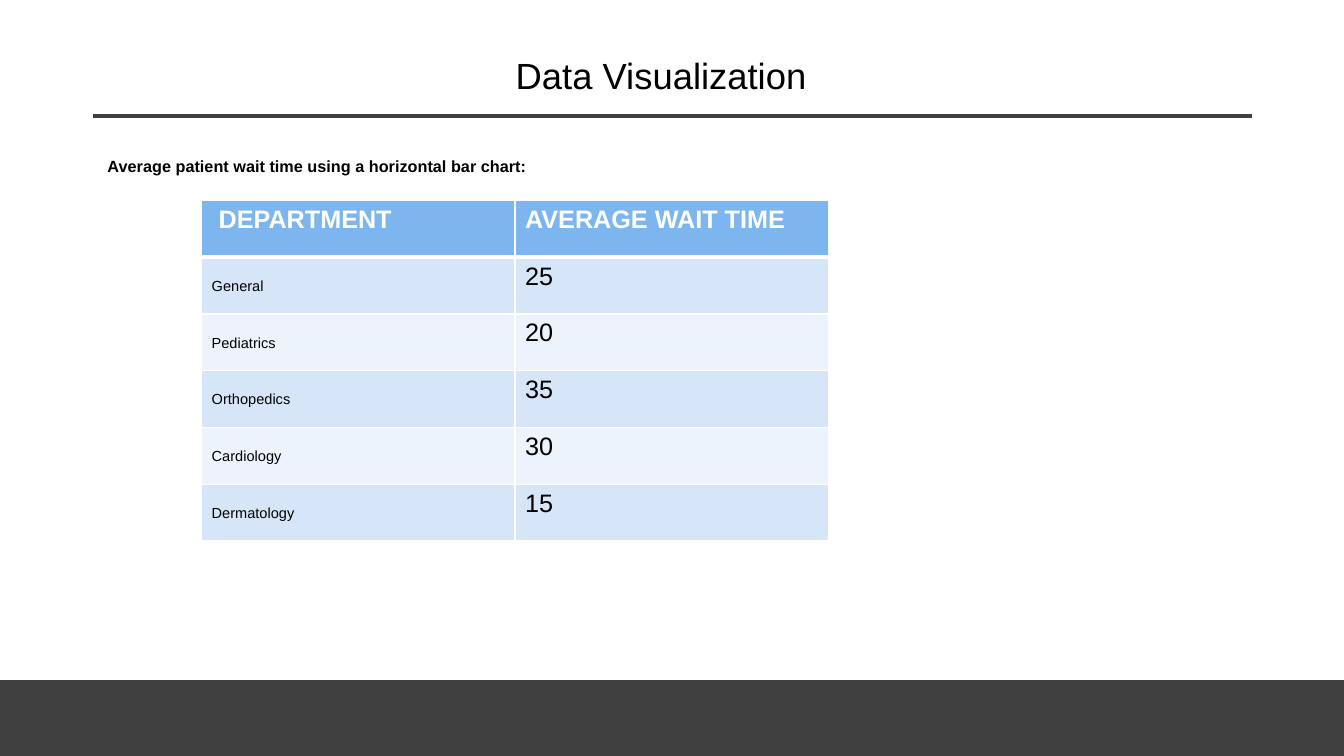
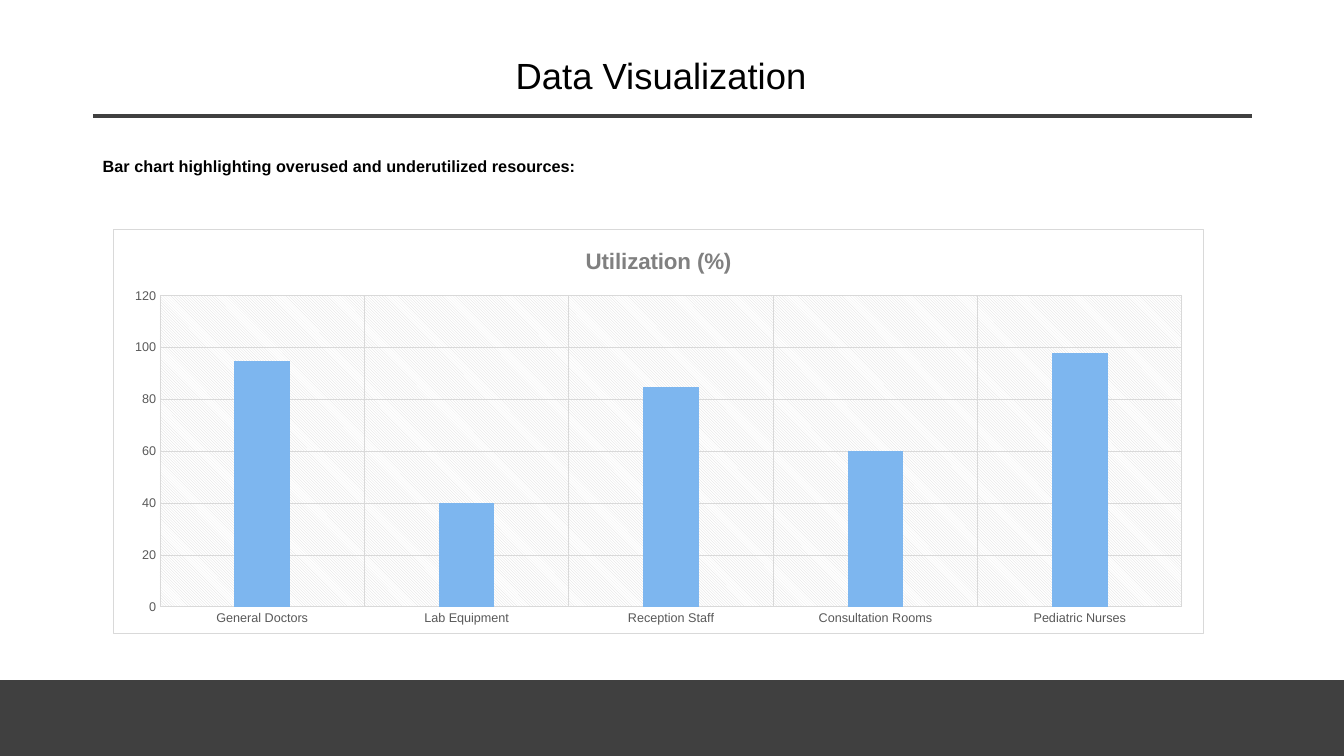
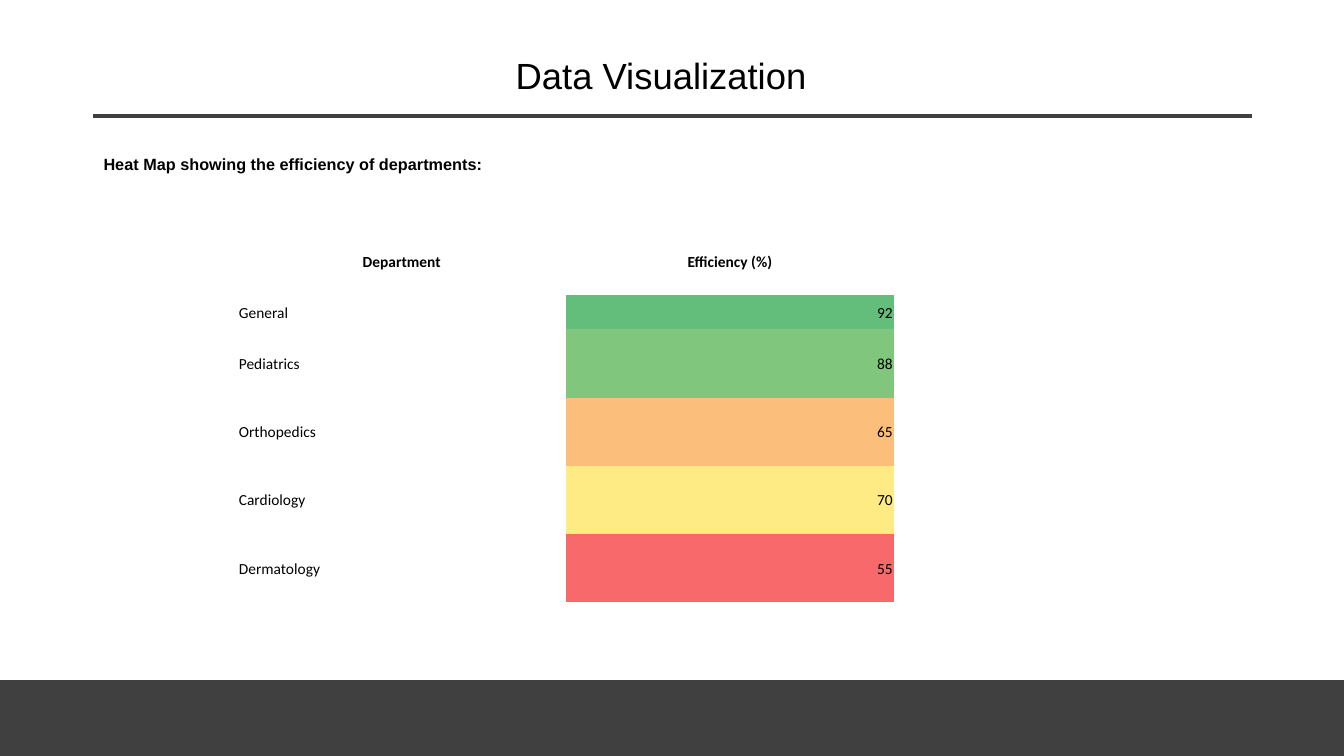
import itertools
from dataclasses import dataclass
from typing import Optional

import pptx
import pptx.chart.data
import pptx.dml.color
import pptx.enum.chart
import pptx.enum.shapes
import pptx.enum.text
import pptx.oxml
import pptx.oxml.ns
import pptx.slide
import pptx.util

Cm = pptx.util.Cm
Pt = pptx.util.Pt
ALIGN = pptx.enum.text.PP_ALIGN
ANCHOR = pptx.enum.text.MSO_ANCHOR

COLORS = {
    "text": "000000",
    "paper": "FFFFFF",
    "band": "404040",
    "accent": "7DB6EF",
    "stripe_dark": "D7E5F9",
    "stripe_light": "ECF3FC",
    "chart_title": "808080",
    "axis_text": "595959",
    "grid": "D9D9D9",
    "heat_92": "63BE7B",
    "heat_88": "80C77D",
    "heat_65": "FCBF7B",
    "heat_70": "FFEB84",
    "heat_55": "F8696B",
}
SLIDE_WIDTH, SLIDE_HEIGHT = Cm(33.87), Cm(19.05)
BAND_HEIGHT = Cm(1.9)
PLAIN_TABLE_STYLE = "{2D5ABB26-0587-4C30-8999-92F81FD0307C}"
DEPARTMENTS = ["General", "Pediatrics", "Orthopedics", "Cardiology", "Dermatology"]
WAIT_TIMES = [25, 20, 35, 30, 15]
EFFICIENCIES = [92, 88, 65, 70, 55]
UTILIZATION = {
    "General Doctors": 95,
    "Lab Equipment": 40,
    "Reception Staff": 85,
    "Consultation Rooms": 60,
    "Pediatric Nurses": 98,
}


@dataclass(frozen=True)
class TextStyle:
    size: float
    font: str = "Arial"
    color: str = "text"
    bold: bool = False
    align: pptx.enum.text.PP_ALIGN = ALIGN.LEFT
    lowered: bool = False


@dataclass(frozen=True)
class Cell:
    text: str
    style: TextStyle
    fill: Optional[str] = None
    bottom_line: float = 1


@dataclass(frozen=True)
class Grid:
    left: pptx.util.Length
    top: pptx.util.Length
    column_width: pptx.util.Length
    row_heights: list[pptx.util.Length]
    rows: list[list[Cell]]
    ruled: bool = False
    tight: bool = False


TITLE = TextStyle(26, align=ALIGN.CENTER)
LEAD = TextStyle(20, bold=True, lowered=True)
WAIT_HEAD = TextStyle(18, color="paper", bold=True)
WAIT_NAME = TextStyle(18, lowered=True)
WAIT_VALUE = TextStyle(18)
HEAT_HEAD = TextStyle(11, "Calibri", bold=True, align=ALIGN.CENTER)
HEAT_NAME = TextStyle(11, "Calibri")
HEAT_VALUE = TextStyle(11, "Calibri", align=ALIGN.RIGHT)


def rgb(name: str) -> pptx.dml.color.RGBColor:
    return pptx.dml.color.RGBColor.from_string(COLORS[name])


def style_font(font: pptx.text.text.Font, style: TextStyle) -> None:
    font.name = style.font
    font.size = Pt(style.size)
    font.bold = style.bold
    font.color.rgb = rgb(style.color)


def write(frame: pptx.text.text.TextFrame, text: str, style: TextStyle) -> None:
    frame.text = text
    paragraph = frame.paragraphs[0]
    paragraph.alignment = style.align
    for run in paragraph.runs:
        style_font(run.font, style)
        if style.lowered:
            run._r.get_or_add_rPr().set("baseline", "-25000")


def style_line(line: pptx.dml.line.LineFormat, color: str, width: float) -> None:
    line.color.rgb = rgb(color)
    line.width = Pt(width)


def add_text(slide: pptx.slide.Slide, left: float, top: float, height: float,
             text: str, style: TextStyle, anchor: pptx.enum.text.MSO_ANCHOR) -> None:
    box = slide.shapes.add_textbox(Cm(left), Cm(top), Cm(29.21), Cm(height))
    box.text_frame.word_wrap = True
    box.text_frame.vertical_anchor = anchor
    write(box.text_frame, text, style)


def add_page(deck: pptx.presentation.Presentation, lead: str,
             lead_left: float, lead_top: float = 3.35) -> pptx.slide.Slide:
    slide = deck.slides.add_slide(deck.slide_layouts[6])
    band = slide.shapes.add_shape(
        pptx.enum.shapes.MSO_SHAPE.RECTANGLE,
        0, SLIDE_HEIGHT - BAND_HEIGHT, SLIDE_WIDTH, BAND_HEIGHT)
    band.shadow.inherit = False
    band.fill.solid()
    band.fill.fore_color.rgb = rgb("band")
    style_line(band.line, "band", 1)
    title_rule = slide.shapes.add_connector(
        pptx.enum.shapes.MSO_CONNECTOR.STRAIGHT,
        Cm(2.34), Cm(2.92), Cm(31.55), Cm(2.92))
    style_line(title_rule.line, "band", 3)
    title_rule._element.spPr.append(pptx.oxml.parse_xml(
        f"<a:effectLst {pptx.oxml.ns.nsdecls('a')}/>"))
    add_text(slide, 2.06, 0.94, 1.91, "Data Visualization", TITLE, ANCHOR.MIDDLE)
    add_text(slide, lead_left, lead_top, 13.41, lead, LEAD, ANCHOR.TOP)
    return slide


def rule_cell(cell: pptx.table._Cell, bottom_line: float) -> None:
    widths = {"lnL": 1, "lnR": 1, "lnT": 1, "lnB": bottom_line}
    properties = cell._tc.get_or_add_tcPr()
    for position, (side, width) in enumerate(widths.items()):
        properties.insert(position, pptx.oxml.parse_xml(
            f'<a:{side} {pptx.oxml.ns.nsdecls("a")} w="{Pt(width)}"><a:solidFill>'
            f'<a:srgbClr val="{COLORS["paper"]}"/></a:solidFill></a:{side}>'))


def add_grid(slide: pptx.slide.Slide, grid: Grid) -> None:
    columns = len(grid.rows[0])
    table = slide.shapes.add_table(
        len(grid.rows), columns, grid.left, grid.top,
        grid.column_width * columns, sum(grid.row_heights)).table
    table.horz_banding = False
    table._tbl.tblPr.find(pptx.oxml.ns.qn("a:tableStyleId")).text = PLAIN_TABLE_STYLE
    for table_row, height, contents in zip(table.rows, grid.row_heights, grid.rows):
        table_row.height = height
        for cell, content in zip(table_row.cells, contents):
            write(cell.text_frame, content.text, content.style)
            if content.fill:
                cell.fill.solid()
                cell.fill.fore_color.rgb = rgb(content.fill)
            else:
                cell.fill.background()
            if grid.tight:
                cell.vertical_anchor = ANCHOR.MIDDLE
                cell.margin_left = cell.margin_right = cell.margin_top = Cm(0.03)
                cell.margin_bottom = 0
            if grid.ruled:
                rule_cell(cell, content.bottom_line)


def wait_time_grid() -> Grid:
    rows = [[Cell(text, WAIT_HEAD, "accent", 3)
             for text in (" DEPARTMENT", "AVERAGE WAIT TIME")]]
    stripes = itertools.cycle(["stripe_dark", "stripe_light"])
    for name, minutes, stripe in zip(DEPARTMENTS, WAIT_TIMES, stripes):
        rows.append([Cell(name, WAIT_NAME, stripe),
                     Cell(str(minutes), WAIT_VALUE, stripe)])
    return Grid(Cm(5.08), Cm(5.05), Cm(7.9), [Cm(1.43)] * len(rows), rows, ruled=True)


def heat_map_grid() -> Grid:
    rows = [[Cell(text, HEAT_HEAD) for text in ("Department", "Efficiency (%)")]]
    for name, percent in zip(DEPARTMENTS, EFFICIENCIES):
        rows.append([Cell(name, HEAT_NAME),
                     Cell(str(percent), HEAT_VALUE, f"heat_{percent}")])
    heights = [Cm(1.72)] * len(rows)
    heights[1] = Cm(0.86)
    return Grid(Cm(5.99), Cm(5.72), Cm(8.27), heights, rows, tight=True)


def chart_area(content: str) -> pptx.oxml.xmlchemy.BaseOxmlElement:
    return pptx.oxml.parse_xml(
        f"<c:spPr {pptx.oxml.ns.nsdecls('c', 'a')}>{content}</c:spPr>")


def add_utilization_chart(slide: pptx.slide.Slide) -> None:
    data = pptx.chart.data.CategoryChartData()
    data.categories = list(UTILIZATION)
    data.add_series("Utilization (%)", list(UTILIZATION.values()))
    chart = slide.shapes.add_chart(
        pptx.enum.chart.XL_CHART_TYPE.COLUMN_CLUSTERED,
        Cm(2.84), Cm(5.77), Cm(27.51), Cm(10.21), data).chart
    style_font(chart.font, TextStyle(10))
    chart.has_legend = False
    chart.has_title = True
    write(chart.chart_title.text_frame, "Utilization (%)",
          TextStyle(16, color="chart_title", bold=True, align=ALIGN.CENTER))
    chart.chart_title.include_in_layout = False

    for axis in (chart.category_axis, chart.value_axis):
        style_font(axis.tick_labels.font, TextStyle(9, color="axis_text"))
        axis.major_tick_mark = pptx.enum.chart.XL_TICK_MARK.NONE
        axis.minor_tick_mark = pptx.enum.chart.XL_TICK_MARK.NONE
        axis.has_major_gridlines = True
        style_line(axis.major_gridlines.format.line, "grid", 0.75)
    style_line(chart.category_axis.format.line, "grid", 0.75)
    chart.value_axis.format.line.fill.background()
    chart.value_axis.minimum_scale = 0
    chart.value_axis.maximum_scale = 120
    chart.value_axis.major_unit = 20

    plot = chart.plots[0]
    plot.vary_by_categories = False
    plot.gap_width = 267
    plot.overlap = -43
    bars = plot.series[0].format
    bars.fill.solid()
    bars.fill.fore_color.rgb = rgb("accent")
    bars.line.fill.background()

    paper = f'<a:srgbClr val="{COLORS["paper"]}"/>'
    gray = f'<a:srgbClr val="{COLORS["grid"]}"/>'
    chart._chartSpace.chart.plotArea.append(chart_area(
        f'<a:pattFill prst="ltDnDiag"><a:fgClr>{gray}</a:fgClr>'
        f"<a:bgClr>{paper}</a:bgClr></a:pattFill><a:ln><a:noFill/></a:ln>"))
    chart._chartSpace.chart.addnext(chart_area(
        f"<a:solidFill>{paper}</a:solidFill>"
        f'<a:ln w="{Pt(0.75)}"><a:solidFill>{gray}</a:solidFill></a:ln>'))


def main() -> None:
    deck = pptx.Presentation()
    deck.slide_width, deck.slide_height = SLIDE_WIDTH, SLIDE_HEIGHT
    wait_times = add_page(
        deck, "Average patient wait time using a horizontal bar chart:", 2.46)
    add_grid(wait_times, wait_time_grid())
    utilization = add_page(
        deck, "Bar chart highlighting overused and underutilized resources:", 2.34)
    add_utilization_chart(utilization)
    efficiency = add_page(
        deck, "Heat Map showing the efficiency of departments:", 2.36, 3.3)
    add_grid(efficiency, heat_map_grid())
    deck.save("out.pptx")


if __name__ == "__main__":
    main()
